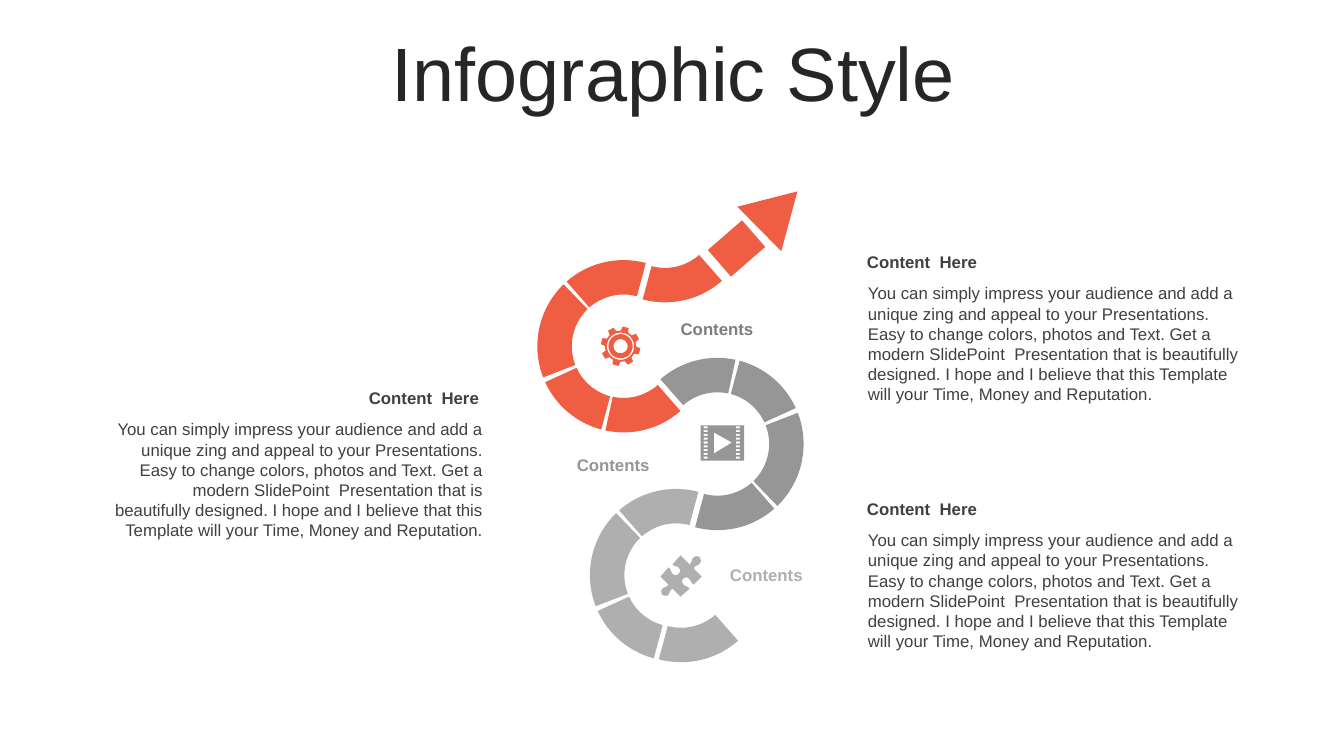
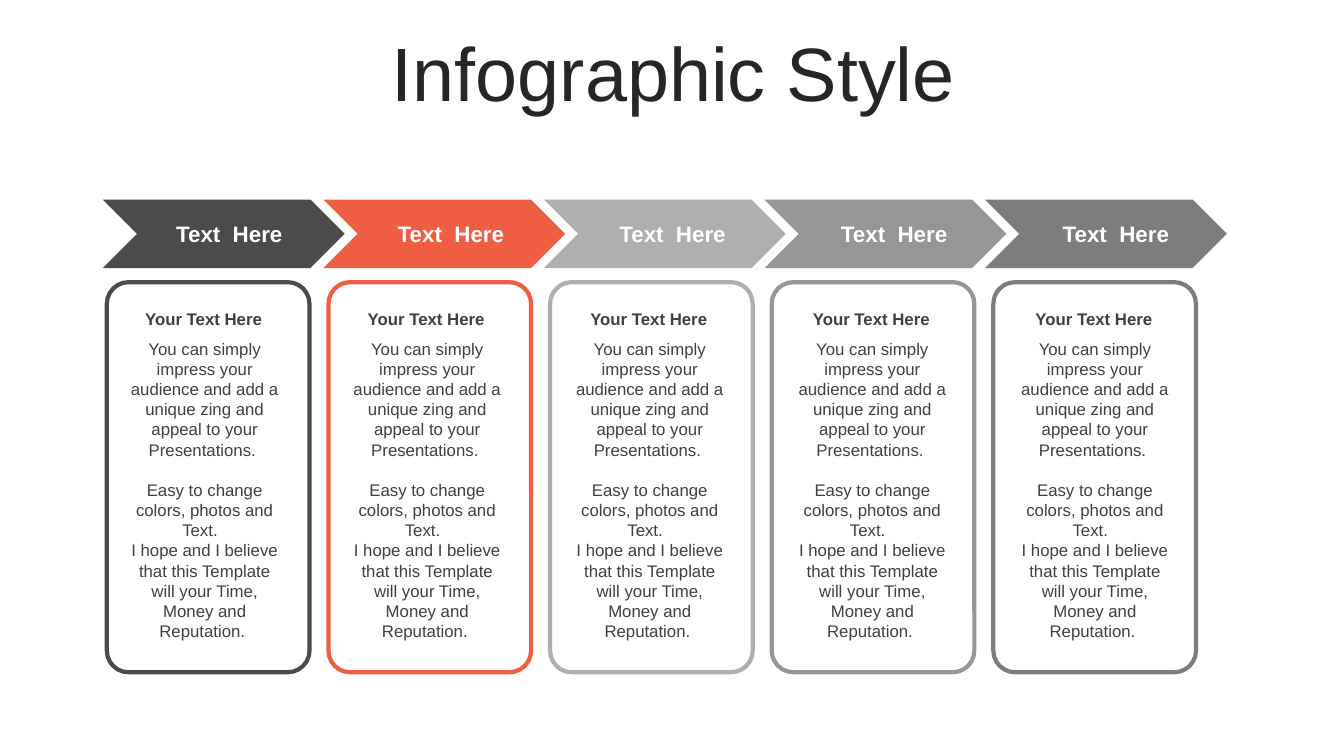
from math import cos, radians, sin

from pptx import Presentation
from pptx.dml.color import RGBColor as Rgb
from pptx.enum.shapes import MSO_SHAPE as Preset
from pptx.enum.text import MSO_ANCHOR as Anchor, MSO_AUTO_SIZE as Fit, PP_ALIGN as Align
from pptx.util import Inches, Pt

# Shared look; areas are (left, top, width, height) in percent of the slide
WIDTH, HEIGHT = Inches(13.33), Inches(7.5)
PERCENT = (WIDTH / 100, HEIGHT / 100) * 2
COLOURS = {
    "title": "262626", "text": "404040", "white": "FFFFFF", "accent": "EF5E42",
    "charcoal": "4B4B4B", "dark": "7D7D7D", "mid": "969696", "light": "AFAFAF",
}
FONT = "Arial"
TITLE_AREA = (2.63, 4.93, 94.97, 10.53)


def draw(slide, preset, area, colour, turn=0, adjustments=(), edge=None):
    place = [round(share * unit) for share, unit in zip(area, PERCENT)]
    shape = slide.shapes.add_shape(preset, *place)
    shape.shadow.inherit = False
    shape.rotation = turn
    for index, value in enumerate(adjustments):
        shape.adjustments[index] = value
    shape.fill.solid()
    shape.fill.fore_color.rgb = Rgb.from_string(COLOURS[colour])
    if edge:
        shape.line.color.rgb = Rgb.from_string(COLOURS[edge])
        shape.line.width = Pt(3)
    else:
        shape.line.fill.background()


def write(slide, area, lines, align=Align.CENTER, colour="text", size=12, bold=False, gaps=()):
    place = [round(share * unit) for share, unit in zip(area, PERCENT)]
    frame = slide.shapes.add_textbox(*place).text_frame
    frame.word_wrap = True
    frame.text = "\n".join(lines)
    for index, paragraph in enumerate(frame.paragraphs):
        paragraph.alignment = align
        if index in gaps:
            paragraph.space_before = Pt(14.4)
        for name, value in {"name": FONT, "size": Pt(size), "bold": bold}.items():
            setattr(paragraph.font, name, value)
        paragraph.font.color.rgb = Rgb.from_string(COLOURS[colour])


deck = Presentation()
deck.slide_width, deck.slide_height = WIDTH, HEIGHT

# Both slides with their title
slides = []
for heading in ["Infographic Style"] * 2:
    slide = deck.slides.add_slide(deck.slide_layouts[5])
    title = slide.shapes.title
    for side, share, unit in zip(("left", "top", "width", "height"), TITLE_AREA, PERCENT):
        setattr(title, side, round(share * unit))
    title.text_frame.text = heading
    title.text_frame.auto_size = Fit.NONE
    title.text_frame.vertical_anchor = Anchor.MIDDLE
    paragraph = title.text_frame.paragraphs[0]
    for name, value in {"alignment": Align.CENTER, "line_spacing": 0.9}.items():
        setattr(paragraph, name, value)
    for name, value in {"name": FONT, "size": Pt(54)}.items():
        setattr(paragraph.font, name, value)
    paragraph.font.color.rgb = Rgb.from_string(COLOURS["title"])
    slides.append(slide)
road, process = slides

# Slide 1: winding road, each arc as (left, top, turn, colour, start and end in degrees)
HEAD, MIDDLE, TAIL, JOINT = (303.68, 0), (233.82, 300.94), (180, 230.36), (303.68, 357.16)
arcs = [(43.06, 17.2, 105, "accent", HEAD), (44.26, 64.8, 105, "light", HEAD)]
for left, top, turn, colour in [
    (43.89, 64.67, 285, "light"), (46.96, 47.33, 105, "mid"), (39.98, 34.4, 285, "accent"),
]:
    arcs += [(left, top, turn, colour, span) for span in (MIDDLE, HEAD, TAIL)]
    if colour != "light":
        arcs.append((left, top, (turn + 180) % 360, colour, JOINT))
for left, top, turn, colour, span in arcs:
    # An angle adjustment of 1 stands for 100000 units of 1/60000 degree
    adjustments = [angle * 0.6 for angle in span] + [0.2]
    draw(road, Preset.BLOCK_ARC, (left, top, 12.83, 22.8), colour, turn, adjustments)
draw(road, Preset.RECTANGLE, (53.49, 29.87, 2.63, 6), "accent", 49)
draw(road, Preset.ISOSCELES_TRIANGLE, (55.59, 24.27, 4.65, 7.07), "accent", 45.4)

# Labels in the bends
for left, top, colour in [(49.74, 41.47, "dark"), (42.01, 59.47, "mid"), (53.41, 74, "light")]:
    write(road, (left, top, 7.58, 4), ["Contents "], colour=colour, bold=True)

# Descriptions beside the road
DESCRIPTION = (
    "You can simply impress your audience and add a unique zing and appeal to your "
    "Presentations. Easy to change colors, photos and Text. Get a modern SlidePoint  "
    "Presentation that is beautifully designed. I hope and I believe that this Template "
    "will your Time, Money and Reputation."
)
for left, top, width, align in [
    (63.77, 32.67, 29.18, Align.LEFT),
    (7.65, 50.67, 28.73, Align.RIGHT),
    (63.77, 65.33, 29.18, Align.LEFT),
]:
    write(road, (left, top, width, 4), ["Content  Here"], align, bold=True)
    write(road, (left + 0.07, top + 4.13, width + 0.23, 17.47), [DESCRIPTION], align)

# Puzzle icon in inches: pairs are corners, sixes are Bézier curves
puzzle = [(6.94, 5.53)]
for step in [
    (6.95, 5.55, 6.96, 5.57, 6.94, 5.59), (6.92, 5.62, 6.9, 5.6, 6.88, 5.64),
    (6.96, 5.72), (6.88, 5.8),
    (6.85, 5.78, 6.86, 5.76, 6.83, 5.74), (6.82, 5.72, 6.79, 5.73, 6.78, 5.74),
    (6.76, 5.75, 6.76, 5.78, 6.78, 5.8), (6.8, 5.82, 6.81, 5.81, 6.84, 5.84),
    (6.75, 5.92), (6.67, 5.84),
    (6.64, 5.86, 6.65, 5.87, 6.63, 5.9), (6.61, 5.92, 6.58, 5.91, 6.57, 5.9),
    (6.56, 5.89, 6.55, 5.86, 6.57, 5.84), (6.59, 5.82, 6.61, 5.83, 6.63, 5.8),
    (6.55, 5.72), (6.63, 5.63),
    (6.66, 5.65, 6.65, 5.68, 6.68, 5.7), (6.69, 5.71, 6.72, 5.71, 6.73, 5.69),
    (6.75, 5.68, 6.75, 5.65, 6.73, 5.63), (6.71, 5.61, 6.7, 5.63, 6.67, 5.6),
    (6.75, 5.51), (6.84, 5.6),
    (6.87, 5.57, 6.85, 5.56, 6.88, 5.53), (6.9, 5.51, 6.93, 5.52, 6.94, 5.53),
]:
    if len(step) == 2:
        puzzle.append(step)
        continue
    start = puzzle[-1]
    for t in (0.2, 0.4, 0.6, 0.8, 1):
        weights = ((1 - t) ** 3, 3 * t * (1 - t) ** 2, 3 * t**2 * (1 - t), t**3)
        points = (start, step[:2], step[2:4], step[4:])
        puzzle.append(tuple(sum(w * p[axis] for w, p in zip(weights, points)) for axis in (0, 1)))

# Film icon: frame, play sign and two columns of perforations
film = [
    [(6.95, 4.22), (7.38, 4.22), (7.38, 4.57), (6.95, 4.57)],
    [(7.08, 4.29), (7.08, 4.5), (7.26, 4.39)],
]
for left in (6.98, 7.3):
    for row in range(9):
        top = 4.23 + row * 0.0375
        film.append([(left, top), (left, top + 0.02), (left + 0.04, top + 0.02), (left + 0.04, top)])

# Gear icon: eight teeth and three circles, as (radius, angle) around the hub
teeth = [
    (radius, 15 + 45 * tooth + offset)
    for tooth in range(8)
    for radius, offset in ((0.155, -14), (0.197, -9), (0.197, 9), (0.155, 14))
]
circles = [[(radius, angle) for angle in range(0, 360, 10)] for radius in (0.135, 0.12, 0.07)]
gear = [
    [(6.155 + r * cos(radians(a)), 3.435 + r * sin(radians(a))) for r, a in ring]
    for ring in [teeth, *circles]
]

for contours, colour in [([puzzle], "light"), (film, "mid"), (gear, "accent")]:
    contours = [[(Inches(x), Inches(y)) for x, y in contour] for contour in contours]
    pen = road.shapes.build_freeform(*contours[0][0])
    pen.add_line_segments(contours[0][1:], close=True)
    for contour in contours[1:]:
        pen.move_to(*contour[0])
        pen.add_line_segments(contour[1:], close=True)
    icon = pen.convert_to_shape()
    icon.shadow.inherit = False
    icon.fill.solid()
    icon.fill.fore_color.rgb = Rgb.from_string(COLOURS[colour])
    icon.line.fill.background()

# Slide 2: five process steps, a chevron above a card
CARD_TEXT = [
    "You can simply impress your audience and add a unique zing and appeal to your Presentations. ",
    "Easy to change colors, photos and Text.  ",
    "I hope and I believe that this Template will your Time, Money and Reputation. ",
]
for column, colour in enumerate(["charcoal", "accent", "light", "mid", "dark"]):
    card_left = 7.95 + 16.49 * column
    text_left = 8.63 + 16.56 * column
    draw(process, Preset.CHEVRON, (7.65 + 16.41 * column, 26.4, 18, 9.07), colour)
    draw(process, Preset.ROUNDED_RECTANGLE, (card_left, 37.33, 15.08, 51.6), "white",
         adjustments=[0.107], edge=colour)
    write(process, (card_left + 2.1, 28.4, 14.03, 4.93), ["Text  Here"],
          colour="white", size=16, bold=True)
    write(process, (text_left, 40.13, 13.05, 4), ["Your Text Here"], bold=True)
    write(process, (text_left, 44.13, 13.2, 41.73), CARD_TEXT, gaps=[1])

deck.save("out.pptx")
